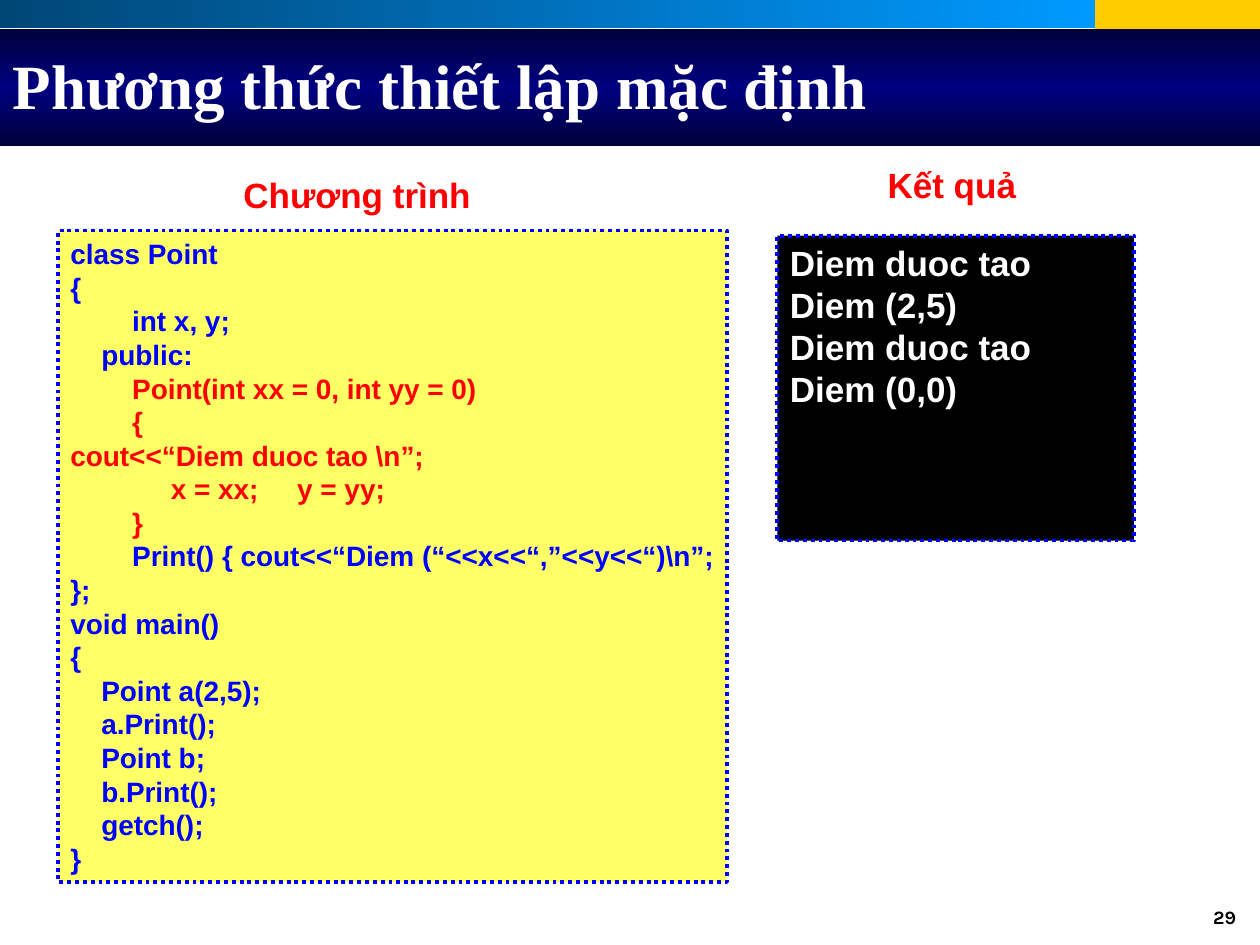
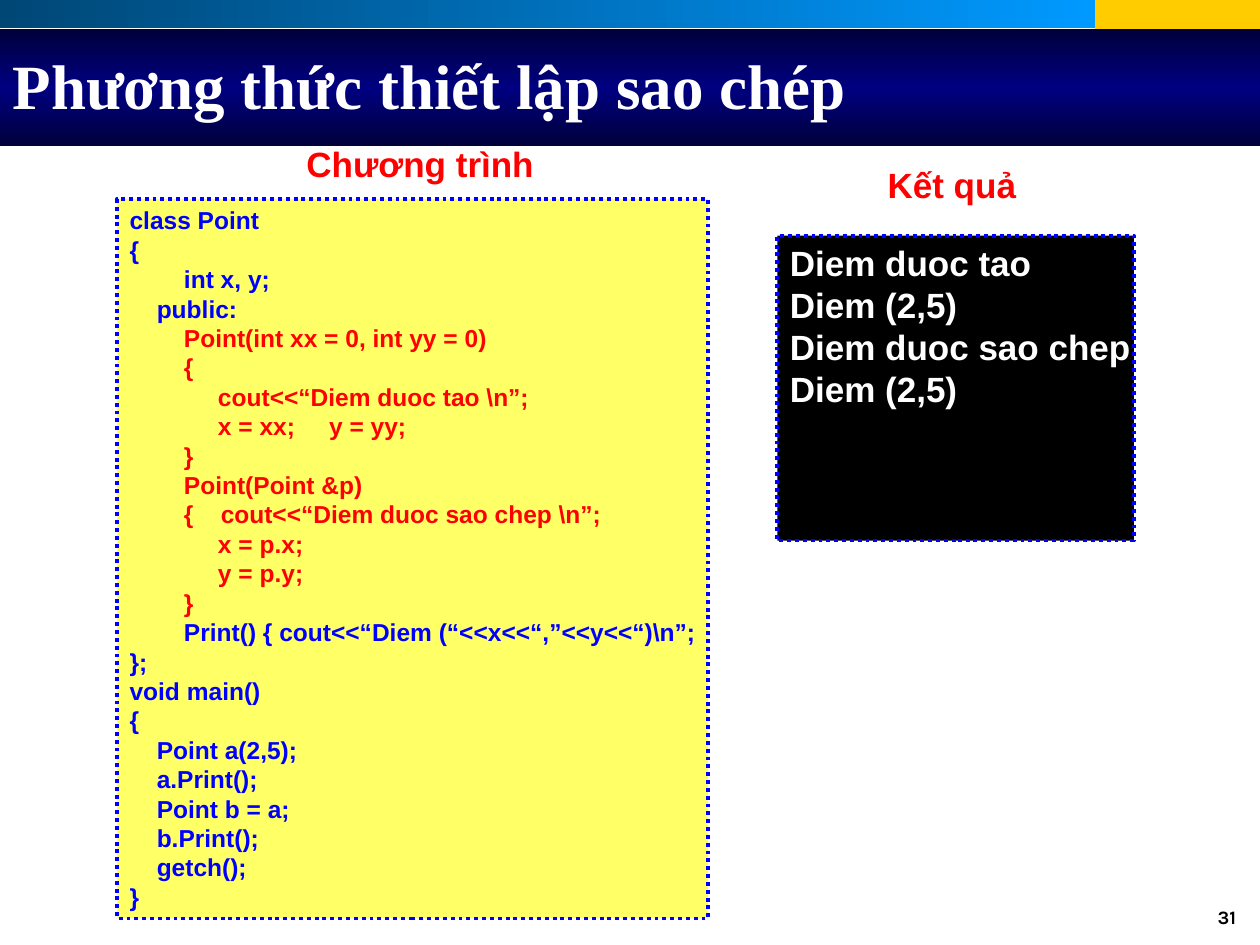
"""Build two slides that pair a C++ class listing with its console output."""
from lxml import etree
from pptx import Presentation
from pptx import util as u
from pptx.dml.color import RGBColor
from pptx.enum import dml, shapes, text
from pptx.oxml.ns import qn

PX = 9144
COLORS = {
    "white": "FFFFFF", "black": "000000", "blue": "0000FF", "red": "FF0000",
    "yellow": "FFFF66", "gold": "FFCC00", "teal": "004776", "sky": "0099FF",
    "night": "00003B", "navy": "000080",
}

CLASS_HEAD = """class Point
{
        int x, y;
    public:"""

CONSTRUCTOR = r"""        Point(int xx = 0, int yy = 0)
        {
%scout<<“Diem duoc tao \n”;
             x = xx;     y = yy;
        }"""

COPY_CONSTRUCTOR = r"""
        Point(Point &p)
        {    cout<<“Diem duoc sao chep \n”;
             x = p.x;
             y = p.y;
        }"""

PRINT_AND_MAIN = r"""        Print() { cout<<“Diem (“<<x<<“,”<<y<<“)\n”;
};
void main()
{
    Point a(2,5);
    a.Print();
    Point b%s;
    b.Print();
    getch();
}"""


class Deck:
    def __init__(self):
        self.prs = Presentation()
        self.prs.slide_width, self.prs.slide_height = 1000 * PX, 750 * PX
        self.s = None

    def color(self, name):
        return RGBColor.from_string(COLORS[name])

    def set_text(self, sp, lines, size, colors, font="Arial",
                 align=text.PP_ALIGN.LEFT, anchor=text.MSO_ANCHOR.TOP, wrap=True):
        tf = sp.text_frame
        tf.text = "\n".join(lines)
        tf.auto_size = text.MSO_AUTO_SIZE.NONE
        tf.word_wrap = wrap
        tf.vertical_anchor = anchor
        tf.margin_left = tf.margin_right = 10 * PX
        tf.margin_top = tf.margin_bottom = 5 * PX
        for p, color in zip(tf.paragraphs, colors):
            p.alignment = align
            for r in p.runs:
                r.font.name, r.font.size, r.font.bold = font, u.Pt(size), True
                r.font.color.rgb = self.color(color)

    def rect(self, box, fill):
        sp = self.s.shapes.add_shape(shapes.MSO_SHAPE.RECTANGLE, *(n * PX for n in box))
        sp.shadow.inherit = False
        sp.fill.solid()
        sp.fill.fore_color.rgb = self.color(fill)
        sp.line.fill.background()
        return sp

    def gradient(self, box, names, angle):
        sp = self.rect(box, names[0])
        sp.fill.gradient()
        sp.fill.gradient_angle = angle
        stops = sp.element.spPr.find(".//" + qn("a:gsLst"))
        for stop in list(stops):
            stops.remove(stop)
        for i, name in enumerate(names):
            stop = etree.SubElement(stops, qn("a:gs"), pos=str(100000 * i // (len(names) - 1)))
            etree.SubElement(stop, qn("a:srgbClr"), val=COLORS[name])

    def label(self, box, words, size, color, **style):
        sp = self.s.shapes.add_textbox(*(n * PX for n in box))
        self.set_text(sp, [words], size, [color], **style)
        return sp

    def heading(self, left, top, words):
        self.label((left, top, 333, 44), words, 20, "red", align=text.PP_ALIGN.CENTER)

    def panel(self, box, fill, lines, size, colors):
        sp = self.rect(box, fill)
        sp.line.color.rgb = self.color("blue")
        sp.line.width = u.Pt(2.25)
        sp.line.dash_style = dml.MSO_LINE.ROUND_DOT
        self.set_text(sp, lines, size, colors, wrap=False)

    def listing(self, box, size, parts):
        lines, colors = [], []
        for part, color in zip(parts, ("blue", "red", "blue")):
            rows = part.split("\n")
            lines += rows
            colors += [color] * len(rows)
        self.panel(box, "yellow", lines, size, colors)

    def output(self, lines):
        self.panel((617, 187, 283, 242), "black", lines, 20, ["white"] * len(lines))
        self.heading(589, 125, "Kết quả")

    def slide(self, title, number):
        self.s = self.prs.slides.add_slide(self.prs.slide_layouts[5])
        self.rect((869, 0, 131, 28), "gold")
        self.gradient((0, 0, 869, 22), ("teal", "sky"), 0)
        self.gradient((0, 23, 1000, 93), ("night", "navy", "night"), 90)
        page = self.label((758, 717, 233, 32), number, 10.8, "black", font="Karla",
                          align=text.PP_ALIGN.RIGHT)
        page.text_frame.paragraphs[0].line_spacing = 0.8
        sp = self.s.shapes.title
        sp.left, sp.top, sp.width, sp.height = (n * PX for n in (0, 17, 992, 100))
        self.set_text(sp, [title], 36, ["white"], font="Times New Roman",
                      anchor=text.MSO_ANCHOR.MIDDLE)
        self.s.shapes.element.append(sp.element)


def main():
    deck = Deck()

    deck.slide("Phương thức thiết lập mặc định", "29")
    deck.listing((46, 183, 531, 517), 16,
                 (CLASS_HEAD, CONSTRUCTOR % "", PRINT_AND_MAIN % ""))
    deck.heading(117, 133, "Chương trình")
    deck.output(["Diem duoc tao", "Diem (2,5)", "Diem duoc tao", "Diem (0,0)"])

    deck.slide("Phương thức thiết lập sao chép", "31")
    deck.listing((93, 158, 469, 571), 14,
                 (CLASS_HEAD, CONSTRUCTOR % (" " * 13) + COPY_CONSTRUCTOR,
                  PRINT_AND_MAIN % " = a"))
    deck.heading(167, 108, "Chương trình")
    deck.output(["Diem duoc tao", "Diem (2,5)", "Diem duoc sao chep", "Diem (2,5)"])

    deck.prs.save("out.pptx")


if __name__ == "__main__":
    main()
